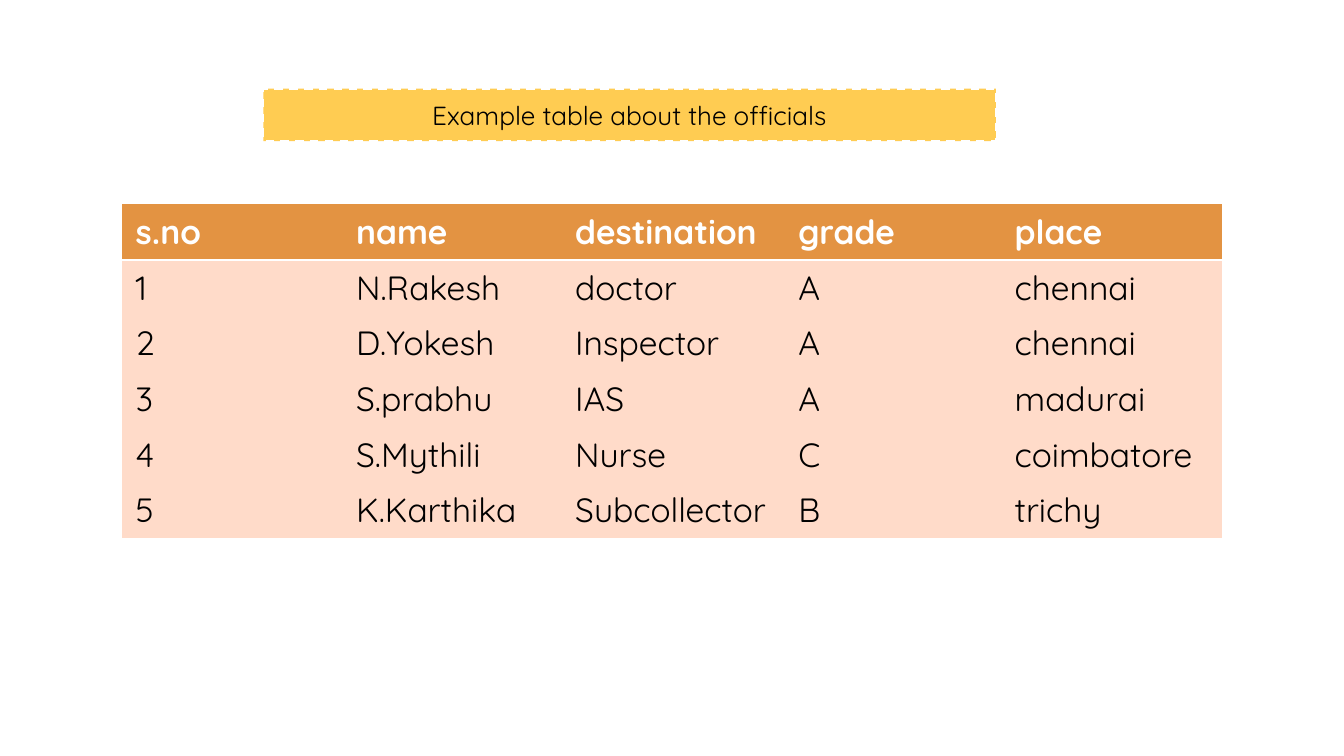
from lxml import etree
from pptx import Presentation
from pptx.dml.color import RGBColor
from pptx.enum.dml import MSO_LINE
from pptx.enum.shapes import MSO_SHAPE
from pptx.enum.text import MSO_ANCHOR, PP_ALIGN
from pptx.oxml.ns import qn
from pptx.util import Inches, Pt

FONT = "Quicksand"
NO_STYLE_NO_GRID = "{2D5ABB26-0587-4C30-8999-92F81FD0307C}"
ROW_HEIGHT = 0.41
COLUMN_WIDTHS = [1.64, 1.63, 1.66, 1.61, 1.64]
OFFICIALS = [
    ("s.no", "name", "destination", "grade", "place"),
    ("1", "N.Rakesh", "doctor", "A", "chennai"),
    ("2", "D.Yokesh", "Inspector", "A", "chennai"),
    ("3", "S.prabhu", "IAS", "A", "madurai"),
    ("4", "S.Mythili", "Nurse", "C", "coimbatore"),
    ("5", "K.Karthika", "Subcollector", "B", "trichy"),
]


def rgb(value):
    return RGBColor.from_string(value)


def style_text(p, size, color, bold=False):
    p.font.name = FONT
    p.font.size = Pt(size)
    p.font.bold = bold
    p.font.color.rgb = rgb(color)


def set_bottom_border(cell, color, width):
    ln = etree.Element(qn("a:lnB"), w=str(Pt(width)))
    fill = etree.SubElement(ln, qn("a:solidFill"))
    etree.SubElement(fill, qn("a:srgbClr"), val=color)
    # The border must come before the cell fill
    cell._tc.get_or_add_tcPr().insert(0, ln)


def add_title(s, left, top, width, height):
    sp = s.shapes.add_shape(MSO_SHAPE.RECTANGLE, Inches(left), Inches(top),
                            Inches(width), Inches(height))
    sp.shadow.inherit = False
    sp.fill.solid()
    sp.fill.fore_color.rgb = rgb("FFCC52")
    sp.line.color.rgb = rgb("FFFFFF")
    sp.line.width = Pt(1.13)
    sp.line.dash_style = MSO_LINE.DASH
    tf = sp.text_frame
    tf.word_wrap = True
    tf.vertical_anchor = MSO_ANCHOR.MIDDLE
    p = tf.paragraphs[0]
    p.text = "Example table about the officials"
    p.alignment = PP_ALIGN.CENTER
    style_text(p, 14, "000000")


def add_officials_table(s, left, top, width, height):
    table = s.shapes.add_table(len(OFFICIALS), len(COLUMN_WIDTHS), Inches(left),
                               Inches(top), Inches(width), Inches(height)).table
    table._tbl.tblPr.find(qn("a:tableStyleId")).text = NO_STYLE_NO_GRID
    table.horz_banding = False
    for column, column_width in zip(table.columns, COLUMN_WIDTHS):
        column.width = Inches(column_width)
    for i, (row, values) in enumerate(zip(table.rows, OFFICIALS)):
        header = i == 0
        for cell, value in zip(row.cells, values):
            cell.fill.solid()
            cell.fill.fore_color.rgb = rgb("E39342" if header else "FFDBC9")
            if header:
                set_bottom_border(cell, "FFFFFF", 1.5)
            p = cell.text_frame.paragraphs[0]
            p.text = value
            style_text(p, 18, "FFFFFF" if header else "000000", header)


def main():
    prs = Presentation()
    prs.slide_width = Inches(10)
    prs.slide_height = prs.slide_width * 9 // 16
    s = prs.slides.add_slide(prs.slide_layouts[6])
    add_officials_table(s, 0.91, 1.52, sum(COLUMN_WIDTHS), ROW_HEIGHT * len(OFFICIALS))
    add_title(s, 1.96, 0.66, 5.45, 0.39)
    prs.save("out.pptx")


if __name__ == "__main__":
    main()
